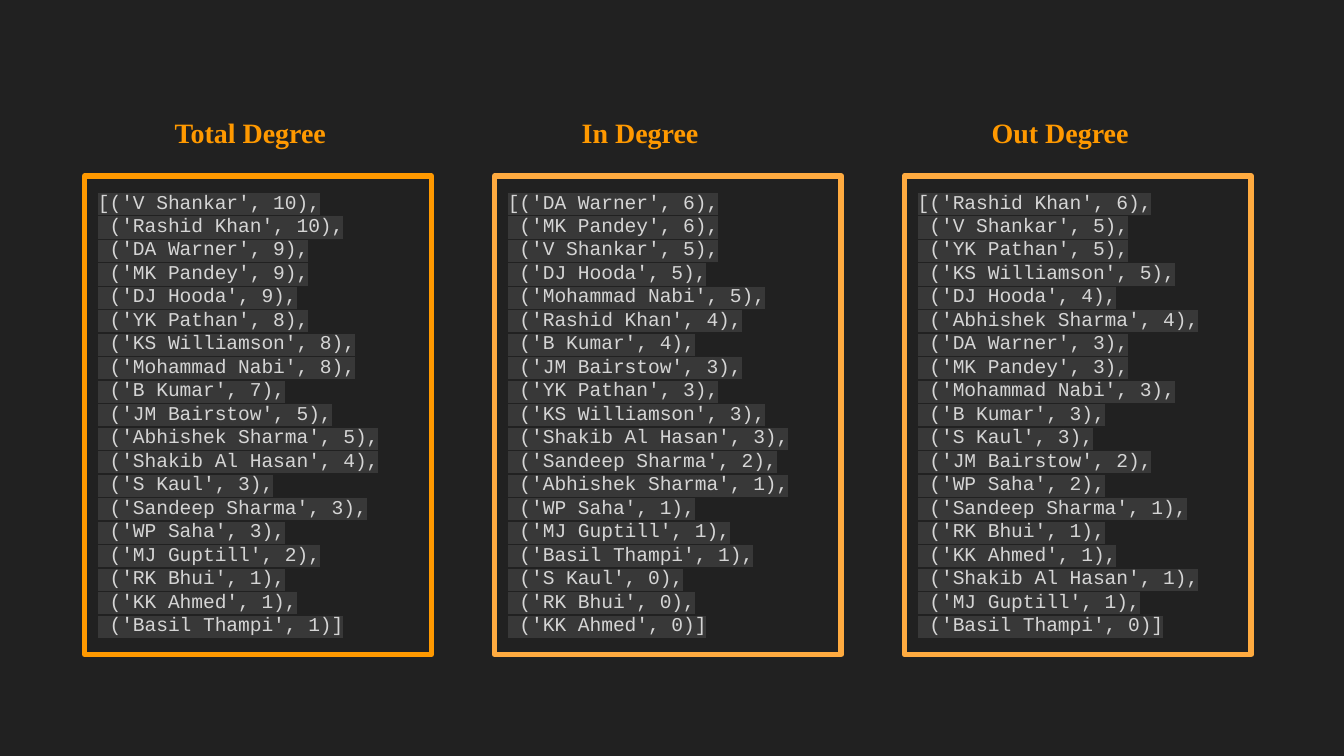
"""Build a slide that lists the total, in and out degree of each player."""
from dataclasses import dataclass

from lxml.etree import SubElement
from pptx import Presentation
from pptx.dml.color import RGBColor
from pptx.enum.shapes import MSO_SHAPE
from pptx.enum.text import MSO_ANCHOR, MSO_AUTO_SIZE, PP_ALIGN
from pptx.oxml import parse_xml
from pptx.oxml.ns import nsdecls, qn
from pptx.slide import Slide
from pptx.text.text import TextFrame
from pptx.util import Inches, Pt

COLOURS = {
    "page": "212121",
    "heading": "FF9900",
    "strong": "FF9900",
    "soft": "FFAB40",
    "code": "D5D5D5",
    "highlight": "383838",
}
DECK_FORMAT = {"slide_width": Inches(10), "slide_height": Inches(10 * 9 / 16)}
FRAME_FORMAT = {
    "word_wrap": True,
    "auto_size": MSO_AUTO_SIZE.SHAPE_TO_FIT_TEXT,
    "vertical_anchor": MSO_ANCHOR.TOP,
    **{f"margin_{side}": Inches(0.1) for side in ("left", "top", "right", "bottom")},
}
PARAGRAPH_FORMAT = {"alignment": PP_ALIGN.LEFT, "line_spacing": 1.0}
HEADING_FONT = {"name": "Times New Roman", "size": Pt(15), "bold": True}
CODE_FONT = {"name": "Courier New", "size": Pt(10.5)}
FIRST_LEFT, COLUMN_STEP = 0.63, 3.05


@dataclass(frozen=True)
class Ranking:
    """One column of the slide: a heading and its ranked players."""

    heading: str
    heading_left: float
    heading_width: float
    border: str
    degrees: list[tuple[str, int]]

    def lines(self) -> list[str]:
        """Return the ranking as the lines of a printed list of tuples."""
        return ("[" + ",\n ".join(str(pair) for pair in self.degrees) + "]").split("\n")


RANKINGS = [
    Ranking("Total Degree", 1.2, 1.35, "strong", [
        ("V Shankar", 10), ("Rashid Khan", 10), ("DA Warner", 9), ("MK Pandey", 9),
        ("DJ Hooda", 9), ("YK Pathan", 8), ("KS Williamson", 8), ("Mohammad Nabi", 8),
        ("B Kumar", 7), ("JM Bairstow", 5), ("Abhishek Sharma", 5),
        ("Shakib Al Hasan", 4), ("S Kaul", 3), ("Sandeep Sharma", 3), ("WP Saha", 3),
        ("MJ Guptill", 2), ("RK Bhui", 1), ("KK Ahmed", 1), ("Basil Thampi", 1),
    ]),
    Ranking("In Degree", 4.23, 1.35, "soft", [
        ("DA Warner", 6), ("MK Pandey", 6), ("V Shankar", 5), ("DJ Hooda", 5),
        ("Mohammad Nabi", 5), ("Rashid Khan", 4), ("B Kumar", 4), ("JM Bairstow", 3),
        ("YK Pathan", 3), ("KS Williamson", 3), ("Shakib Al Hasan", 3),
        ("Sandeep Sharma", 2), ("Abhishek Sharma", 1), ("WP Saha", 1),
        ("MJ Guptill", 1), ("Basil Thampi", 1), ("S Kaul", 0), ("RK Bhui", 0),
        ("KK Ahmed", 0),
    ]),
    Ranking("Out Degree", 7.28, 1.47, "soft", [
        ("Rashid Khan", 6), ("V Shankar", 5), ("YK Pathan", 5), ("KS Williamson", 5),
        ("DJ Hooda", 4), ("Abhishek Sharma", 4), ("DA Warner", 3), ("MK Pandey", 3),
        ("Mohammad Nabi", 3), ("B Kumar", 3), ("S Kaul", 3), ("JM Bairstow", 2),
        ("WP Saha", 2), ("Sandeep Sharma", 1), ("RK Bhui", 1), ("KK Ahmed", 1),
        ("Shakib Al Hasan", 1), ("MJ Guptill", 1), ("Basil Thampi", 0),
    ]),
]


def colour(name: str) -> RGBColor:
    """Return the named colour."""
    return RGBColor.from_string(COLOURS[name])


def apply(target: object, values: dict) -> None:
    """Set each format value as an attribute of the target."""
    for name, value in values.items():
        setattr(target, name, value)


def write_lines(frame: TextFrame, lines: list[str], font: dict, ink: str,
                highlight: str | None = None) -> None:
    """Write one paragraph per line, with an optional highlight."""
    apply(frame, FRAME_FORMAT)
    for index, line in enumerate(lines):
        para = frame.add_paragraph() if index else frame.paragraphs[0]
        apply(para, PARAGRAPH_FORMAT)
        span = para.add_run()
        span.text = line
        apply(span.font, font)
        span.font.color.rgb = colour(ink)
        if highlight:
            fill = span.font._element.find(qn("a:solidFill"))
            fill.addnext(parse_xml(
                f'<a:highlight {nsdecls("a")}>'
                f'<a:srgbClr val="{COLOURS[highlight]}"/></a:highlight>'))


def draw_list(page: Slide, ranking: Ranking, left: float) -> None:
    """Draw the bordered box with the ranked players."""
    box = page.shapes.add_shape(MSO_SHAPE.RECTANGLE, Inches(left), Inches(1.31),
                                Inches(2.58), Inches(3.56))
    box.shadow.inherit = False
    box.fill.background()
    box.line.color.rgb = colour(ranking.border)
    box.line.width = Pt(3)
    SubElement(box.line._get_or_add_ln(), qn("a:round"))
    write_lines(box.text_frame, ranking.lines(), CODE_FONT, "code", "highlight")


def draw_heading(page: Slide, ranking: Ranking) -> None:
    """Draw the heading above a list."""
    box = page.shapes.add_textbox(Inches(ranking.heading_left), Inches(0.76),
                                  Inches(ranking.heading_width), Inches(0.45))
    write_lines(box.text_frame, [ranking.heading], HEADING_FONT, "heading")


def main() -> None:
    """Build and save the deck."""
    deck = Presentation()
    apply(deck, DECK_FORMAT)
    page = deck.slides.add_slide(deck.slide_layouts[6])
    page.background.fill.solid()
    page.background.fill.fore_color.rgb = colour("page")
    for index, ranking in enumerate(RANKINGS):
        draw_list(page, ranking, FIRST_LEFT + index * COLUMN_STEP)
    for ranking in RANKINGS:
        draw_heading(page, ranking)
    deck.save("out.pptx")


if __name__ == "__main__":
    main()
